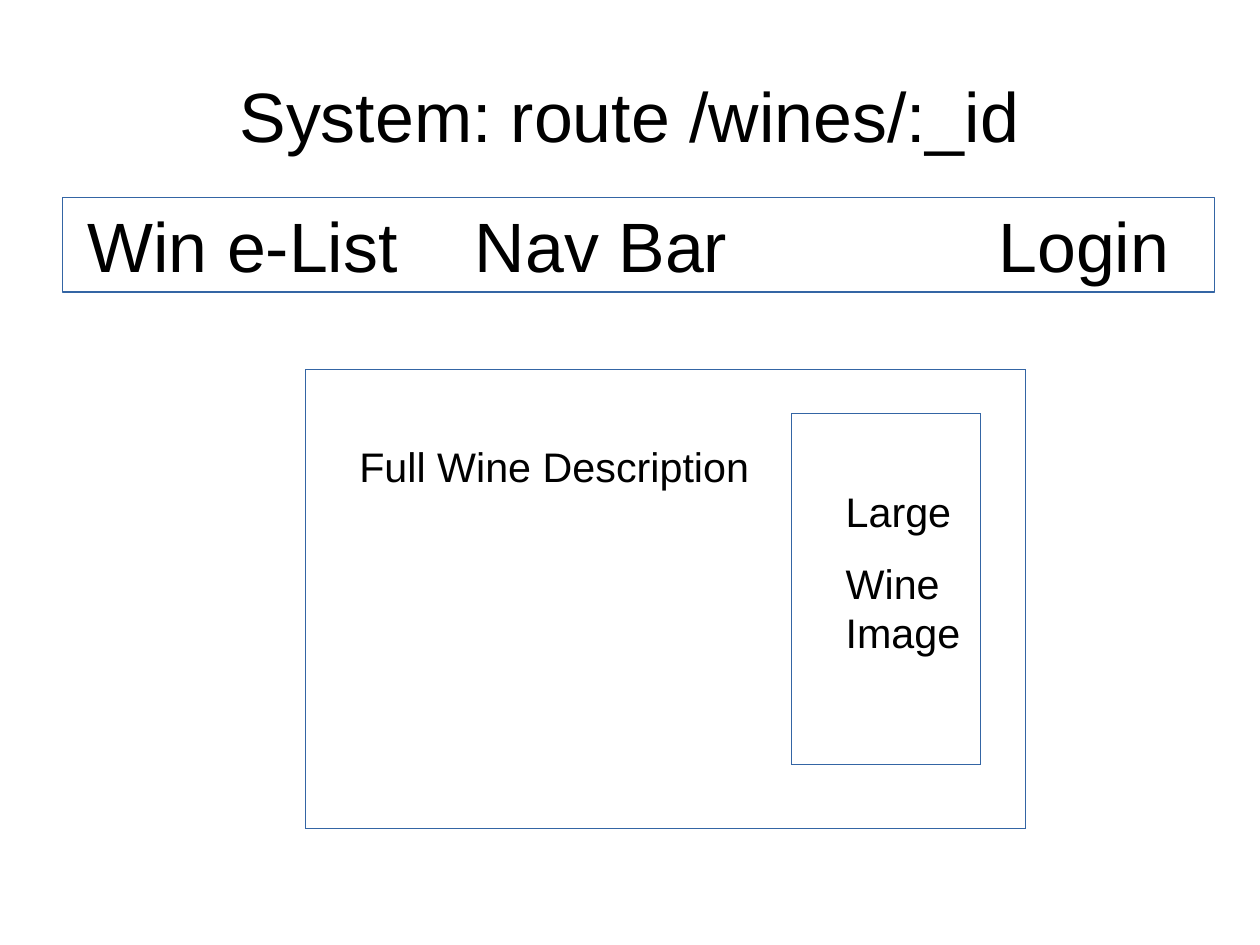
from pptx import Presentation
from pptx.dml.color import RGBColor
from pptx.enum.shapes import MSO_SHAPE
from pptx.enum.text import MSO_ANCHOR, MSO_AUTO_SIZE, PP_ALIGN
from pptx.oxml.ns import qn
from pptx.util import Cm, Inches, Pt
from lxml.etree import SubElement

HUES = {"line": "3465A4", "text": "000000"}

deck = Presentation()
deck.slide_width, deck.slide_height = Cm(28), Cm(21)
slide = deck.slides.add_slide(deck.slide_layouts[3])


def place(shape, left, top, width, height):
    shape.left = int(deck.slide_width * left / 100)
    shape.top = int(deck.slide_height * top / 100)
    shape.width = int(deck.slide_width * width / 100)
    shape.height = int(deck.slide_height * height / 100)


def write(shape, text, size, align, anchor, left=0, top=0):
    frame = shape.text_frame
    frame.text = text
    frame.word_wrap = True
    frame.auto_size = MSO_AUTO_SIZE.NONE
    frame.vertical_anchor = anchor
    frame.margin_left, frame.margin_top = Inches(left), Inches(top)
    frame.margin_right = frame.margin_bottom = 0
    for para in frame.paragraphs:
        para.alignment = align
        para.line_spacing = 1.0
        para.space_before = Pt(0)
        for run in para.runs:
            run.font.name = "Arial"
            run.font.size = Pt(size)
            run.font.color.rgb = RGBColor.from_string(HUES["text"])


title, card, image = slide.placeholders
place(title, 5, 7.1, 90, 10)
write(title, "System: route /wines/:_id", 44, PP_ALIGN.CENTER, MSO_ANCHOR.MIDDLE)

bar = slide.shapes.add_shape(MSO_SHAPE.RECTANGLE, 0, 0, 0, 0)
bar.shadow.inherit = False
place(bar, 4.95, 20.9, 91.45, 10)
write(bar, "Win e-List\tNav Bar\tLogin", 44, PP_ALIGN.LEFT, MSO_ANCHOR.MIDDLE, left=0.22)
props = bar.text_frame.paragraphs[0]._p.get_or_add_pPr()
tabs = SubElement(props, qn("a:tabLst"))
for stop in (3.39, 7.97):
    SubElement(tabs, qn("a:tab"), pos=str(Inches(stop)), algn="l")

panes = [
    (card, "Full Wine Description", (24.25, 39.1, 57.15, 48.6)),
    (image, "Large\nWine Image", (62.85, 43.8, 15, 37.1)),
]
for pane, text, area in panes:
    place(pane, *area)
    write(pane, text, 26, PP_ALIGN.LEFT, MSO_ANCHOR.TOP, top=0.63)
    for para in pane.text_frame.paragraphs:
        para.space_after = Pt(14.2)
        props = para._p.get_or_add_pPr()
        props.set("marL", str(Inches(0.47)))
        props.set("indent", "0")
        SubElement(props, qn("a:buNone"))

for box in (bar, card, image):
    box.fill.background()
    box.line.color.rgb = RGBColor.from_string(HUES["line"])
    box.line.width = Pt(0)

deck.save("out.pptx")
